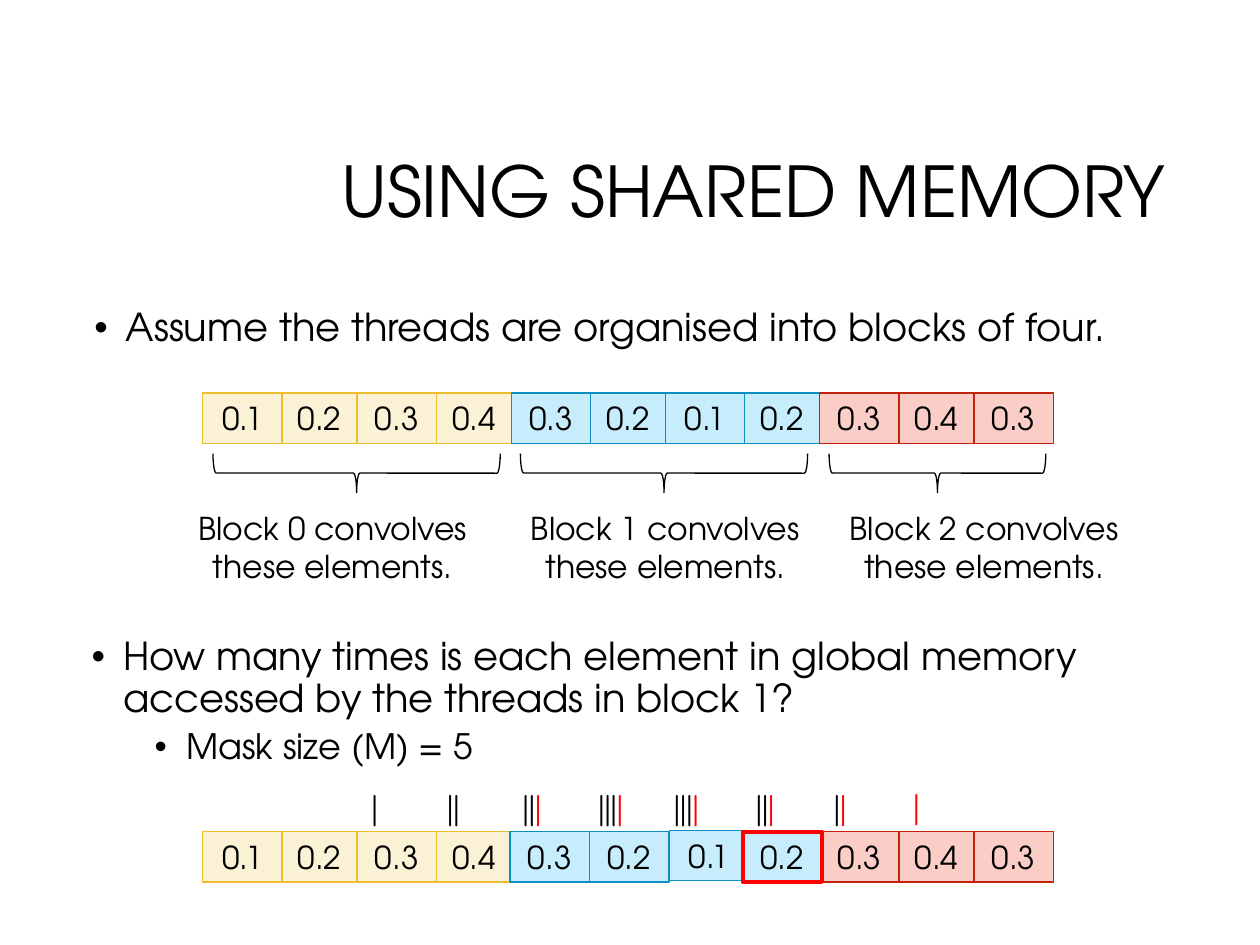
"""Build a slide on convolution with shared memory."""
from dataclasses import dataclass

from lxml import etree
from pptx import Presentation
from pptx.dml.color import RGBColor
from pptx.enum import shapes, text
from pptx.oxml import ns
from pptx.util import Inches, Pt


@dataclass(frozen=True)
class Theme:
    """Hold the colours, fonts and type sizes."""
    ink: str = "000000"
    mark: str = "FF0000"
    blocks: tuple = (("FBF2D6", "ECBD31"), ("C7ECFB", "0D8EC5"), ("FBCDC7", "C4220D"))
    face: str = "TeX Gyre Adventor"
    hand: str = "Comic Neue"
    title: int = 40
    body: int = 22
    sub: int = 20
    small: int = 18
    thin: float = 0.75
    thick: float = 2.25


THEME = Theme()
ALIGN = text.PP_ALIGN
VALUES = ("0.1", "0.2", "0.3", "0.4", "0.3", "0.2", "0.1", "0.2", "0.3", "0.4", "0.3")
SIZE = 4
PITCH = 0.612
CELL = (0.63, 0.4)
TALLIES = (
    (2.85, 1, 0), (3.45, 2, 0), (4.05, 2, 1), (4.65, 3, 1),
    (5.25, 3, 1), (5.9, 2, 1), (6.52, 1, 1), (7.15, 0, 1),
)


def colour(code):
    """Turn a hex code into a colour."""
    return RGBColor.from_string(code)


def style(para, size, align=ALIGN.LEFT, face=THEME.face):
    """Set the font and alignment of a paragraph."""
    para.alignment = align
    para.font.size = Pt(size)
    para.font.name = face
    para.font.color.rgb = colour(THEME.ink)


def frame(slide, box):
    """Add a wrapping text box and return its frame."""
    area = slide.shapes.add_textbox(*map(Inches, box)).text_frame
    area.word_wrap = True
    return area


def bullet(para, words, size, indent, gap):
    """Fill a paragraph as a bullet with a hanging indent."""
    para.text = words
    para.line_spacing = 0.9
    para.space_before = Pt(gap)
    props = para._p.get_or_add_pPr()
    props.set("marL", str(Inches(indent)))
    props.set("indent", str(Inches(-0.25)))
    etree.SubElement(props, ns.qn("a:buFont")).set("typeface", "Arial")
    etree.SubElement(props, ns.qn("a:buChar")).set("char", "•")
    style(para, size)


def title(slide, box, words):
    """Place the slide title."""
    area = frame(slide, box)
    area.vertical_anchor = text.MSO_ANCHOR.MIDDLE
    para = area.paragraphs[0]
    para.text = words
    para.line_spacing = 0.9
    style(para, THEME.title, ALIGN.RIGHT)


def points(slide, box, main, sub=None):
    """Place a bullet point and its optional sub-point."""
    area = frame(slide, box)
    bullet(area.paragraphs[0], main, THEME.body, 0.25, 10)
    if sub:
        bullet(area.add_paragraph(), sub, THEME.sub, 0.75, 5)


def cell(slide, box, words, fill, line, width):
    """Draw one array element."""
    shape = slide.shapes.add_shape(shapes.MSO_SHAPE.RECTANGLE, *map(Inches, box))
    shape.shadow.inherit = False
    shape.fill.solid()
    shape.fill.fore_color.rgb = colour(fill)
    shape.line.color.rgb = colour(line)
    shape.line.width = Pt(width)
    area = shape.text_frame
    area.vertical_anchor = text.MSO_ANCHOR.TOP
    area.paragraphs[0].text = words
    style(area.paragraphs[0], THEME.small, ALIGN.CENTER)


def array(slide, left, top, order, shift=None, chosen=None):
    """Draw the array, stacking its cells in the given order."""
    for index in order:
        over, down = (shift or {}).get(index, (0, 0))
        fill, line = THEME.blocks[index // SIZE]
        width = THEME.thin
        if index == chosen:
            line, width = THEME.mark, THEME.thick
        box = (left + index * PITCH + over, top + down, *CELL)
        cell(slide, box, VALUES[index], fill, line, width)


def brace(slide, box):
    """Draw a brace that points down across the box."""
    left, top, width, height = box
    mid, centre = left + width / 2, top + height / 2
    turned = (mid - height / 2, centre - width / 2, height, width)
    shape = slide.shapes.add_shape(shapes.MSO_SHAPE.RIGHT_BRACE, *map(Inches, turned))
    shape.rotation = 90
    shape.shadow.inherit = False
    shape.fill.background()
    shape.line.color.rgb = colour(THEME.ink)
    shape.line.width = Pt(THEME.thin)


def label(slide, box, words):
    """Place a centred label."""
    para = frame(slide, box).paragraphs[0]
    para.text = words
    style(para, THEME.small, ALIGN.CENTER)


def tally(slide, box, black, red):
    """Place the count of reads, with the latest in red."""
    para = frame(slide, box).paragraphs[0]
    style(para, THEME.small, face=THEME.hand)
    for count, code in ((black, THEME.ink), (red, THEME.mark)):
        if count:
            run = para.add_run()
            run.text = "|" * count
            run.font.color.rgb = colour(code)


def main():
    """Build and save the slide."""
    deck = Presentation()
    deck.slide_width, deck.slide_height = Inches(10), Inches(7.5)
    slide = deck.slides.add_slide(deck.slide_layouts[6])
    title(slide, (2.38, 0.84, 6.97, 1.41), "USING SHARED MEMORY")

    points(slide, (0.65, 2.4, 8.7, 1.59),
           "Assume the threads are organised into blocks of four.")
    order = sorted(range(len(VALUES)), key=lambda index: index % 2 == 0)
    array(slide, 1.61, 3.12, order)
    spans = ((1.69, 2.28, 1.38), (4.13, 2.28, 4.02), (6.58, 1.72, 6.55))
    for block, (left, width, start) in enumerate(spans):
        brace(slide, (left, 3.6, width, 0.31))
        label(slide, (start, 3.99, 2.52, 0.71),
              f"Block {block} convolves these elements.")

    points(slide, (0.63, 5.01, 8.7, 1.59),
           "How many times is each element in global memory accessed by the "
           "threads in block 1?", "Mask size (M) = 5")
    for left, black, red in TALLIES:
        tally(slide, (left, 6.22 if black else 6.21, 0.61, 0.4), black, red)
    middle = range(SIZE, 2 * SIZE)
    order = [index for index in order if index not in middle] + list(middle)
    shift = {4: (-0.01, 0), 5: (0.01, 0), 6: (0.03, -0.01)}
    array(slide, 1.61, 6.6, order, shift, chosen=7)
    deck.save("out.pptx")


if __name__ == "__main__":
    main()
